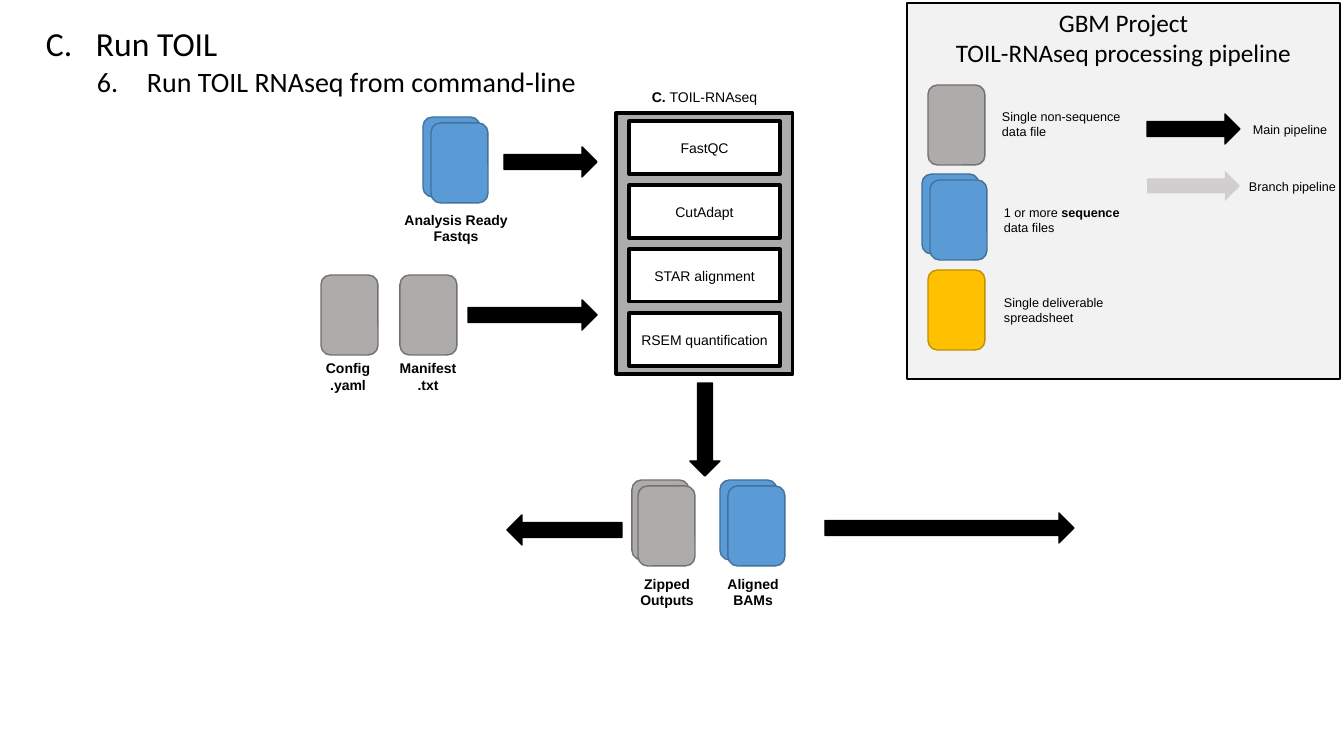
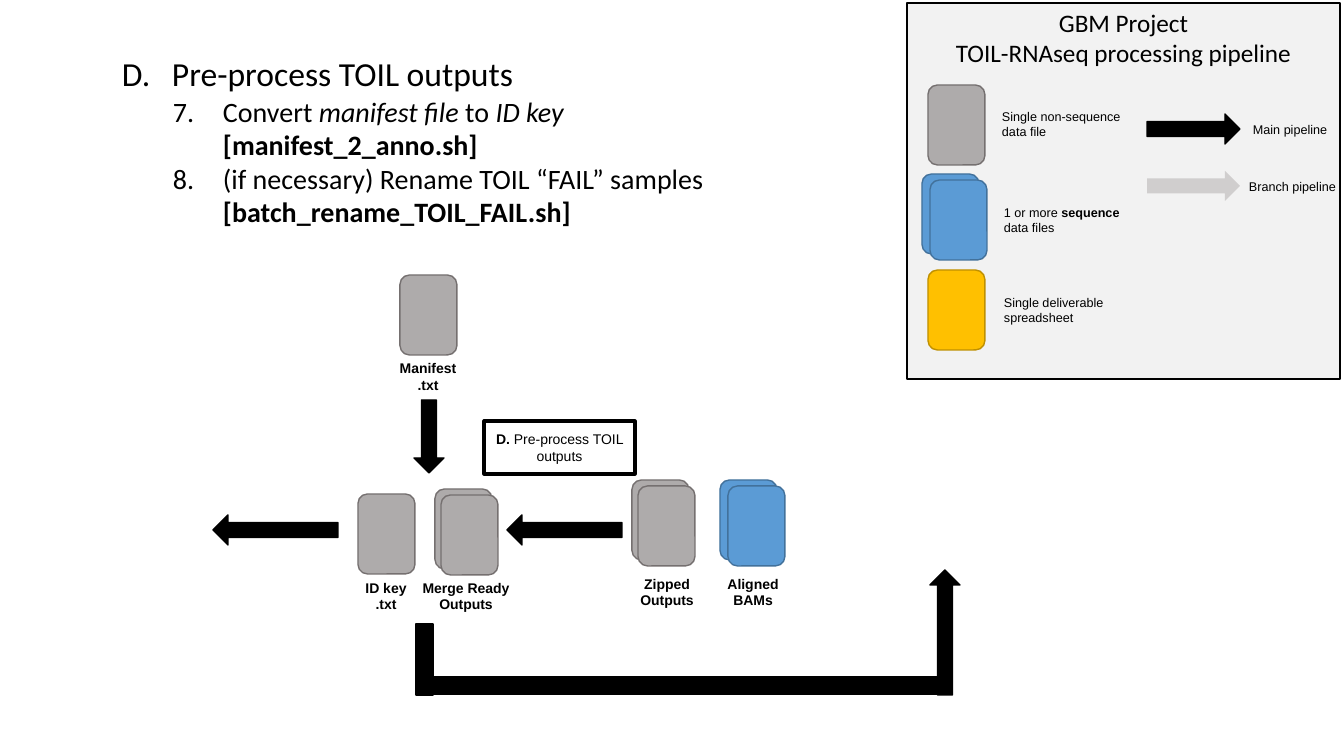
import pptx
import pptx.dml.color
import pptx.enum.shapes
import pptx.enum.text
import pptx.oxml
import pptx.oxml.ns
import pptx.util

SCALE = 914400 / 100.8  # EMU per px
COLORS = {
    "black": "000000", "white": "FFFFFF", "panel": "F2F2F2", "branch": "D0CECE",
    "grey": "AEABAB", "grey_edge": "757070",
    "blue": "5B9BD5", "blue_edge": "42719B",
    "gold": "FFC000", "gold_edge": "BF9000",
}
KINDS = pptx.enum.shapes.MSO_SHAPE
ALIGN = pptx.enum.text.PP_ALIGN
CARD_W, CARD_H = 57, 80
CAPTION_W, CAPTION_H = 108, 36
ARROW = 30
STAGE_W, STAGE_H = 151, 53

# File kinds: fill, and the offsets of the cards in the stack
FILES = {
    "grey file": ("grey", [(0, 0)]),
    "grey files": ("grey", [(0, 0), (6, 6)]),
    "blue files": ("blue", [(0, 0), (8, 6)]),
    "gold file": ("gold", [(0, 0)]),
}


def px(length):
    return pptx.util.Emu(round(length * SCALE))


def add_block(parent, kind, box, fill, edge=None, weight=1):
    block = parent.shapes.add_shape(kind, *map(px, box))
    block.shadow.inherit = False
    block.fill.solid()
    block.fill.fore_color.rgb = pptx.dml.color.RGBColor.from_string(COLORS[fill])
    if edge:
        block.line.color.rgb = pptx.dml.color.RGBColor.from_string(COLORS[edge])
        block.line.width = pptx.util.Pt(weight)
    else:
        block.line.fill.background()
    return block


def write(frame, paragraphs, size, font="Arial", align=ALIGN.CENTER):
    """Each paragraph is a list of (text, style) runs; style holds b or i."""
    frame.word_wrap = True
    frame.margin_left = frame.margin_right = frame.margin_top = frame.margin_bottom = 0
    for index, runs in enumerate(paragraphs):
        paragraph = frame.add_paragraph() if index else frame.paragraphs[0]
        paragraph.alignment = align
        for text, style in runs:
            run = paragraph.add_run()
            run.text = text
            run.font.name = font
            run.font.size = pptx.util.Pt(size)
            run.font.bold = "b" in style
            run.font.italic = "i" in style
            run.font.color.rgb = pptx.dml.color.RGBColor.from_string(COLORS["black"])


# Files: kind, left, top, caption lines, caption centre, caption top
MANIFEST = ("grey file", 400, 275, ["Manifest", ".txt"], 428, 360)
ZIPPED = ("grey files", 632, 480, ["Zipped", "Outputs"], 667, 575)
ALIGNED = ("blue files", 720, 480, ["Aligned", "BAMs"], 753, 575)
ZIPPED_ARROW = (KINDS.LEFT_ARROW, 507, 515, 115, ARROW)

STEPS = [
    {
        "at": (46, 18), "start": 3, "title": "Run TOIL",
        "first_step": 6, "steps": [[("Run TOIL RNAseq from command-line", "")]],
        "files": [
            ("blue files", 423, 117, ["Analysis Ready Fastqs"], 456, 211),
            ("grey file", 321, 275, ["Config", ".yaml"], 348, 360),
            MANIFEST, ZIPPED, ALIGNED,
        ],
        "flow": [
            (KINDS.RIGHT_ARROW, 504, 147, 93, ARROW),
            (KINDS.RIGHT_ARROW, 468, 300, 129, ARROW),
            (KINDS.DOWN_ARROW, 690, 383, ARROW, 93),
            ZIPPED_ARROW,
            (KINDS.RIGHT_ARROW, 825, 513, 249, ARROW),
        ],
        "frame": (616, 113, 177, 261),
        "stages": (629, 121, [[(name, "")] for name in (
            "FastQC", "CutAdapt", "STAR alignment", "RSEM quantification")]),
    },
    {
        "at": (122, 48), "start": 4, "title": "Pre-process TOIL outputs",
        "first_step": 7,
        "steps": [
            [("Convert ", ""), ("manifest file ", "i"), ("to ", ""), ("ID key ", "i"),
             ("[manifest_2_anno.sh]", "b")],
            [("(if necessary) Rename TOIL “FAIL” samples ", ""),
             ("[batch_rename_TOIL_FAIL.sh]", "b")],
        ],
        "files": [
            MANIFEST, ZIPPED, ALIGNED,
            ("grey file", 358, 494, ["ID key", ".txt"], 386, 579),
            ("grey files", 435, 489, ["Merge Ready", "Outputs"], 466, 579),
        ],
        "flow": [
            (KINDS.DOWN_ARROW, 414, 400, ARROW, 73),
            ZIPPED_ARROW,
            (KINDS.LEFT_ARROW, 213, 515, 125, ARROW),
            (KINDS.RECTANGLE, 416, 624, 17, 71),
            (KINDS.RECTANGLE, 427, 677, 519, 17),
            (KINDS.UP_ARROW, 930, 570, ARROW, 125),
        ],
        "frame": None,
        "stages": (484, 421, [[("D. ", "b"), ("Pre-process TOIL outputs", "")]]),
    },
]

# Legend, the same on both slides
LEGEND_FILES = [("grey file", 928, 85), ("blue files", 922, 174), ("gold file", 928, 270)]
LEGEND_ARROWS = [(114, "black", "black"), (171, "branch", None)]
LEGEND_LABELS = [
    (1002, 109, 124, 30, [("Single non-sequence data file", "")]),
    (1004, 205, 124, 30, [("1 or more ", ""), ("sequence", "b"), (" data files", "")]),
    (1004, 295, 124, 30, [("Single deliverable spreadsheet", "")]),
    (1253, 122, 90, 15, [("Main pipeline", "")]),
    (1249, 179, 94, 15, [("Branch pipeline", "")]),
]

deck = pptx.Presentation()
deck.slide_width, deck.slide_height = px(1344), px(756)

for step in STEPS:
    slide = deck.slides.add_slide(deck.slide_layouts[5])

    # Numbered title and the steps under it
    left, top = step["at"]
    title = slide.shapes.title
    title.left, title.top, title.width, title.height = map(px, (left, top + 5, 674, 41))
    title.text_frame.vertical_anchor = pptx.enum.text.MSO_ANCHOR.TOP
    title.text_frame.auto_size = pptx.enum.text.MSO_AUTO_SIZE.NONE
    write(title.text_frame, [[(step["title"], "")]], 24, "Calibri", ALIGN.LEFT)
    steps = slide.shapes.add_textbox(
        *map(px, (left, top + 46, 674, 34 if len(step["steps"]) == 1 else 136)))
    write(steps.text_frame, step["steps"], 20, "Calibri", ALIGN.LEFT)
    for frame, scheme, start, indent in (
            (title.text_frame, "alphaUcPeriod", step["start"], 50),
            (steps.text_frame, "arabicPeriod", step["first_step"], 101)):
        for paragraph in frame.paragraphs:
            properties = paragraph._p.get_or_add_pPr()
            properties.set("marL", str(px(indent)))
            properties.set("indent", str(-px(50)))
            properties.append(pptx.oxml.parse_xml(
                f'<a:buFont {pptx.oxml.ns.nsdecls("a")} typeface="+mj-lt"/>'))
            properties.append(pptx.oxml.parse_xml(
                f'<a:buAutoNum {pptx.oxml.ns.nsdecls("a")} type="{scheme}" startAt="{start}"/>'))

    # Legend panel and its heading
    add_block(slide, KINDS.RECTANGLE, (907, 3, 433, 376), "panel", "black")
    heading = slide.shapes.add_textbox(*map(px, (907, 7, 433, 62)))
    write(heading.text_frame,
          [[("GBM Project", "")], [("TOIL-RNAseq processing pipeline", "")]], 18, "Calibri")
    for y, fill, edge in LEGEND_ARROWS:
        add_block(slide, KINDS.RIGHT_ARROW, (1147, y, 93, ARROW), fill, edge)
    for *box, runs in LEGEND_LABELS:
        label = slide.shapes.add_textbox(*map(px, box))
        write(label.text_frame, [runs], 9, align=ALIGN.LEFT)

    # File cards of the legend and the pipeline
    for kind, x, y, *_ in LEGEND_FILES + step["files"]:
        color, offsets = FILES[kind]
        holder = slide.shapes.add_group_shape() if len(offsets) > 1 else slide
        for dx, dy in offsets:
            add_block(holder, KINDS.ROUNDED_RECTANGLE, (x + dx, y + dy, CARD_W, CARD_H),
                      color, color + "_edge")

    # Captions under the files
    for *_, lines, center, y in step["files"]:
        caption = slide.shapes.add_textbox(
            *map(px, (center - CAPTION_W / 2, y, CAPTION_W, CAPTION_H)))
        write(caption.text_frame, [[(line, "b")] for line in lines], 10)

    # Arrows and bars of the pipeline
    for kind, *box in step["flow"]:
        add_block(slide, kind, box, "black", "black")

    # Processing stages
    if step["frame"]:
        add_block(slide, KINDS.RECTANGLE, step["frame"], "grey", "black", 2.25)
        tool = slide.shapes.add_textbox(*map(px, (637, 89, 135, 17)))
        write(tool.text_frame, [[("C. ", "b"), ("TOIL-RNAseq", "")]], 10)
    x, y, stages = step["stages"]
    for index, runs in enumerate(stages):
        stage = add_block(slide, KINDS.RECTANGLE, (x, y + index * 64, STAGE_W, STAGE_H),
                          "white", "black", 2.25)
        write(stage.text_frame, [runs], 10)

deck.save("out.pptx")
